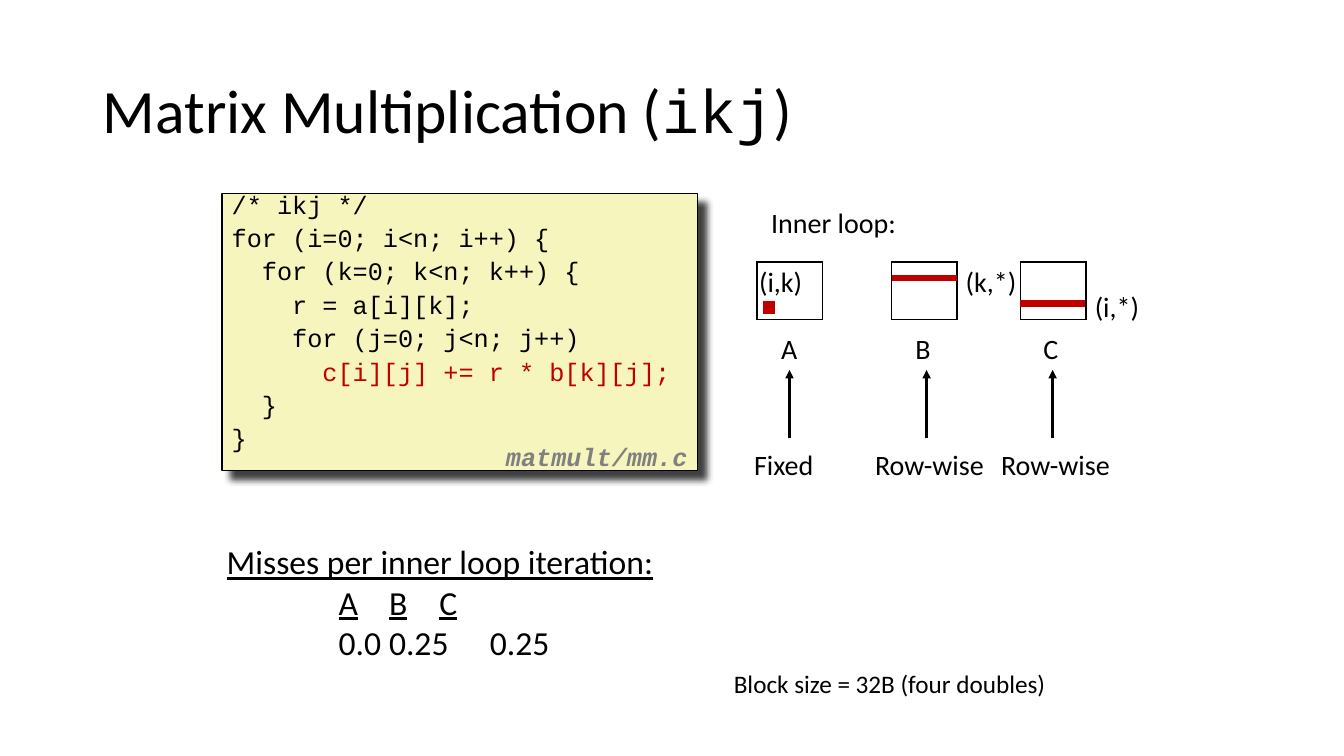
"""Builds the slide on matrix multiplication in ikj order."""
from lxml import etree
from pptx import Presentation
from pptx import util as u
from pptx.dml.color import RGBColor
from pptx.enum import shapes, text
from pptx.oxml import ns, parse_xml

BLACK = RGBColor(0x00, 0x00, 0x00)
WHITE = RGBColor(0xFF, 0xFF, 0xFF)
RED = RGBColor(0xC0, 0x00, 0x00)
GRAY = RGBColor(0x80, 0x80, 0x80)
CREAM = RGBColor(0xF6, 0xF5, 0xBD)
SANS, MONO = "Calibri", "Courier New"

prs = Presentation()
prs.slide_width, prs.slide_height = u.Inches(13.33), u.Inches(7.5)
slide = prs.slides.add_slide(prs.slide_layouts[5])


def add_run(paragraph, words, size, color=BLACK, **font_values):
    run = paragraph.add_run()
    run.text = words
    run.font.color.rgb = color
    for key, value in {"name": SANS, "size": u.Pt(size), **font_values}.items():
        setattr(run.font, key, value)


def add_label(words, left, top, width, height, size=20, color=BLACK, **font_values):
    label = slide.shapes.add_textbox(*map(u.Inches, (left, top, width, height)))
    label.text_frame.word_wrap = False
    label.text_frame.auto_size = text.MSO_AUTO_SIZE.SHAPE_TO_FIT_TEXT
    add_run(label.text_frame.paragraphs[0], words, size, color, **font_values)
    return label


title = slide.shapes.title
title.left, title.top = u.Inches(0.92), u.Inches(0.4)
title.width, title.height = u.Inches(11.5), u.Inches(1.45)
title.text_frame.vertical_anchor = text.MSO_ANCHOR.MIDDLE
heading = title.text_frame.paragraphs[0]
heading.alignment = text.PP_ALIGN.LEFT
heading.line_spacing = 0.9
for words, face in (("Matrix Multiplication (", SANS), ("ikj", MONO), (")", SANS)):
    add_run(heading, words, 44, name=face)

code_box = slide.shapes.add_shape(
    shapes.MSO_SHAPE.RECTANGLE, *map(u.Inches, (2.2, 1.92, 4.72, 2.75)))
code_box.fill.solid()
code_box.fill.fore_color.rgb = CREAM
code_box.line.color.rgb = BLACK
code_box.line.width = u.Pt(1)
code_box._element.spPr.append(parse_xml(
    f'<a:effectLst {ns.nsdecls("a")}><a:outerShdw blurRad="{u.Pt(5)}" dist="{u.Pt(8.5)}" '
    'dir="2700000" algn="tl" rotWithShape="0"><a:srgbClr val="000000">'
    '<a:alpha val="75000"/></a:srgbClr></a:outerShdw></a:effectLst>'))
code_box.text_frame.vertical_anchor = text.MSO_ANCHOR.TOP
code_box.text_frame.word_wrap = True
code_lines = [
    [("/* ikj */", BLACK)],
    [("for (i=0; i<n; i++) {", BLACK)],
    [("  for (k=0; k<n; k++) {", BLACK)],
    [("    r = a[i][k];", BLACK)],
    [("    for (j=0; j<n; j++)", BLACK)],
    [("      ", BLACK), ("c[i][j] += r * b[k][j];", RED)],
    [("  }", BLACK)],
    [("}", BLACK)],
]
for number, pieces in enumerate(code_lines):
    frame = code_box.text_frame
    line = frame.add_paragraph() if number else frame.paragraphs[0]
    line.alignment = text.PP_ALIGN.LEFT
    line.line_spacing = 0.65
    line.space_before = u.Pt(9.8 if number else 0)
    for words, color in pieces:
        add_run(line, words, 18, color, name=MONO)

add_label("matmult/mm.c", 4.92, 4.33, 2.08, 0.39, 18, GRAY, name=MONO, bold=True, italic=True)
add_label("Inner loop:", 7.55, 1.99, 1.45, 0.43)

matrices = [
    ("A", 7.51, 7.65, 0.37, 7.83, "Fixed", 7.38, 0.79),
    ("B", 8.84, 8.98, 0.35, 9.19, "Row-wise", 8.58, 1.29),
    ("C", 10.12, 10.25, 0.35, 10.44, "Row-wise", 9.83, 1.29),
]
squares = [(left, 2.6, 0.65, 0.57, WHITE, BLACK, 1) for _, left, *_ in matrices]
squares.append((7.6, 3.02, 0.06, 0.06, BLACK, RED, 4.5))
for left, top, width, height, fill, outline, weight in squares:
    square = slide.shapes.add_shape(
        shapes.MSO_SHAPE.RECTANGLE, *map(u.Inches, (left, top, width, height)))
    square.shadow.inherit = False
    square.fill.solid()
    square.fill.fore_color.rgb = fill
    square.line.color.rgb = outline
    square.line.width = u.Pt(weight)
    etree.SubElement(square.line._get_or_add_ln(), ns.qn("a:miter"), lim="800000")

for name, _, name_left, name_width, _, access, access_left, access_width in matrices:
    add_label(name, name_left, 3.24, name_width, 0.43)
    add_label(access, access_left, 4.39, access_width, 0.43)

for index, left, top, width in (
        ("(i,k)", 7.43, 2.57, 0.63), ("(k,*)", 9.48, 2.57, 0.71), ("(i,*)", 10.76, 2.82, 0.64)):
    add_label(index, left, top, width, 0.43)

strokes = [(8.85, 2.76, 9.49, 2.76, RED, 4.5), (10.12, 3.01, 10.76, 3.01, RED, 4.5)]
strokes += [(arrow, 4.35, arrow, 3.67, BLACK, 2) for _, _, _, _, arrow, *_ in matrices]
for *ends, color, weight in strokes:
    stroke = slide.shapes.add_connector(shapes.MSO_CONNECTOR.STRAIGHT, *map(u.Inches, ends))
    stroke.line.color.rgb = color
    stroke.line.width = u.Pt(weight)
    if color == BLACK:
        etree.SubElement(stroke.line._get_or_add_ln(), ns.qn("a:tailEnd"), type="triangle")
    etree.SubElement(stroke._element.spPr, ns.qn("a:effectLst"))

misses = slide.shapes.add_textbox(*map(u.Inches, (2.15, 5.32, 5.68, 1.34))).text_frame
misses.word_wrap = True
miss_lines = [
    (0, 0.24, [("Misses per inner loop iteration:", True)]),
    (1, 0.61, [("\t\t", False), ("A", True), ("\t", False), ("B", True),
               ("\t", False), ("C", True)]),
    (1, 0.61, [("\t\t0.0\t0.25\t0.25", False)]),
]
for number, (level, margin, pieces) in enumerate(miss_lines):
    line = misses.add_paragraph() if number else misses.paragraphs[0]
    line.level = level
    properties = line._p.get_or_add_pPr()
    properties.set("marL", str(u.Inches(margin)))
    properties.set("indent", str(u.Inches(-0.24)))
    for words, underline in pieces:
        add_run(line, words, 24, underline=underline)

block_size = add_label("Block size = 32B (four doubles)", 7.18, 6.58, 4.4, 0.4, 18)
block_size.text_frame.word_wrap = True

prs.save("out.pptx")
